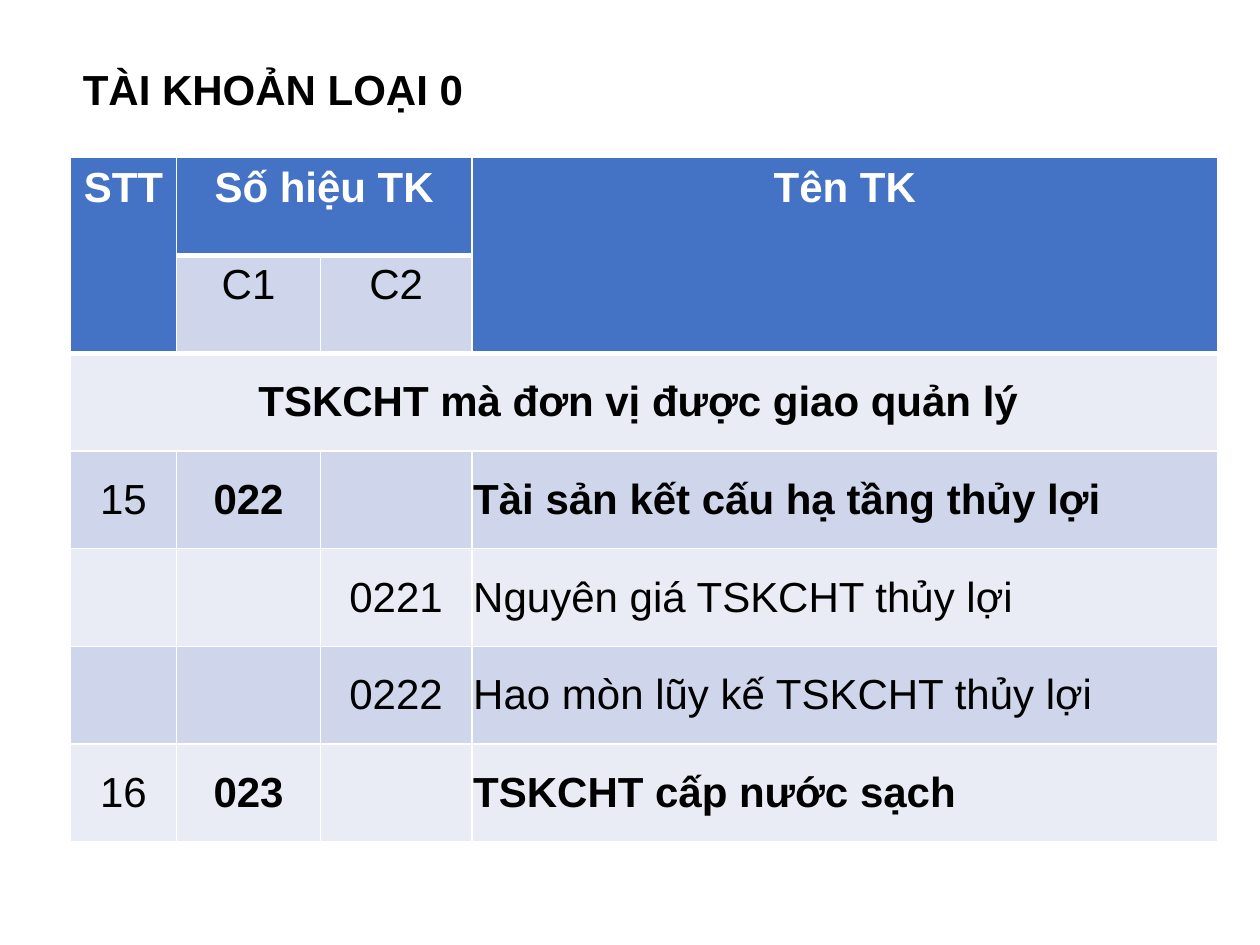
from lxml import etree
from pptx import Presentation
from pptx.dml.color import RGBColor
from pptx.enum import text
from pptx.oxml import ns
from pptx.util import Cm, Pt

TITLE = "TÀI KHOẢN LOẠI 0"
ACCOUNTS = [
    ["STT", "Số hiệu TK", "", "Tên TK"],
    ["", "C1", "C2", ""],
    ["TSKCHT mà đơn vị được giao quản lý ", "", "", ""],
    ["15", "022", "", "Tài sản kết cấu hạ tầng thủy lợi"],
    ["", "", "0221", "Nguyên giá TSKCHT thủy lợi"],
    ["", "", "0222", "Hao mòn lũy kế TSKCHT thủy lợi"],
    ["16", "023", "", "TSKCHT cấp nước sạch"],
]
MERGES = [((0, 0), (1, 0)), ((0, 1), (0, 2)), ((0, 3), (1, 3)), ((2, 0), (2, 3))]
HEADER_CELLS = {(0, 0), (0, 1), (0, 2), (0, 3), (1, 0), (1, 3)}
HEADER_ROWS = 2
SECTION_ROW = 2
NAME_COLUMN = 3
COLUMN_WIDTHS = [2.14, 2.9, 3.05, 15.04]
ROW_HEIGHT = 1.97
LEFT = 1.42
COLORS = {"header": "4472C4", "odd": "CFD5EA", "even": "E9EBF5",
          "white": "FFFFFF", "black": "000000"}


def color(name):
    return RGBColor.from_string(COLORS[name])


def write(paragraph, words, ink, bold):
    run = paragraph.add_run()
    run.text = words
    run.font.name = "Arial"
    run.font.size = Pt(24)
    run.font.bold = bold
    run.font.color.rgb = color(ink)


def add_borders(cell, bottom_width):
    properties = cell._tc.get_or_add_tcPr()
    widths = {"lnL": 1, "lnR": 1, "lnT": 1, "lnB": bottom_width}
    for position, (side, width) in enumerate(widths.items()):
        line = etree.Element(ns.qn(f"a:{side}"), w=str(Pt(width)))
        fill = etree.SubElement(line, ns.qn("a:solidFill"))
        etree.SubElement(fill, ns.qn("a:srgbClr"), val=COLORS["white"])
        properties.insert(position, line)


def is_bold(row, column, words):
    if row < HEADER_ROWS:
        return (row, column) in HEADER_CELLS
    main_account = bool(ACCOUNTS[row][1])
    return row == SECTION_ROW or (main_account and column > 0)


def format_cell(cell, row, column):
    header = (row, column) in HEADER_CELLS
    cell.fill.solid()
    cell.fill.fore_color.rgb = color("header" if header else "odd" if row % 2 else "even")
    add_borders(cell, 3 if row < HEADER_ROWS else 1)
    words = ACCOUNTS[row][column]
    if not words:
        return
    if row >= HEADER_ROWS:
        cell.vertical_anchor = text.MSO_ANCHOR.MIDDLE
        cell.margin_left = cell.margin_right = Cm(0.03)
        cell.margin_top = cell.margin_bottom = 0
    paragraph = cell.text_frame.paragraphs[0]
    if row < HEADER_ROWS or column != NAME_COLUMN:
        paragraph.alignment = text.PP_ALIGN.CENTER
    write(paragraph, words, "white" if header else "black", is_bold(row, column, words))


def main():
    deck = Presentation()
    deck.slide_width, deck.slide_height = Cm(25.4), Cm(19.05)
    slide = deck.slides.add_slide(deck.slide_layouts[6])

    title = slide.shapes.add_textbox(Cm(LEFT), Cm(1.15), Cm(8.18), Cm(1.28)).text_frame
    title.word_wrap = False
    title.auto_size = text.MSO_AUTO_SIZE.SHAPE_TO_FIT_TEXT
    write(title.paragraphs[0], TITLE, "black", True)

    table = slide.shapes.add_table(
        len(ACCOUNTS), len(COLUMN_WIDTHS), Cm(LEFT), Cm(3.18),
        Cm(sum(COLUMN_WIDTHS)), Cm(ROW_HEIGHT * len(ACCOUNTS))).table
    for column, width in zip(table.columns, COLUMN_WIDTHS):
        column.width = Cm(width)
    for row in table.rows:
        row.height = Cm(ROW_HEIGHT)
    for first, last in MERGES:
        table.cell(*first).merge(table.cell(*last))
    for row in range(len(ACCOUNTS)):
        for column in range(len(COLUMN_WIDTHS)):
            format_cell(table.cell(row, column), row, column)

    deck.save("out.pptx")


if __name__ == "__main__":
    main()
